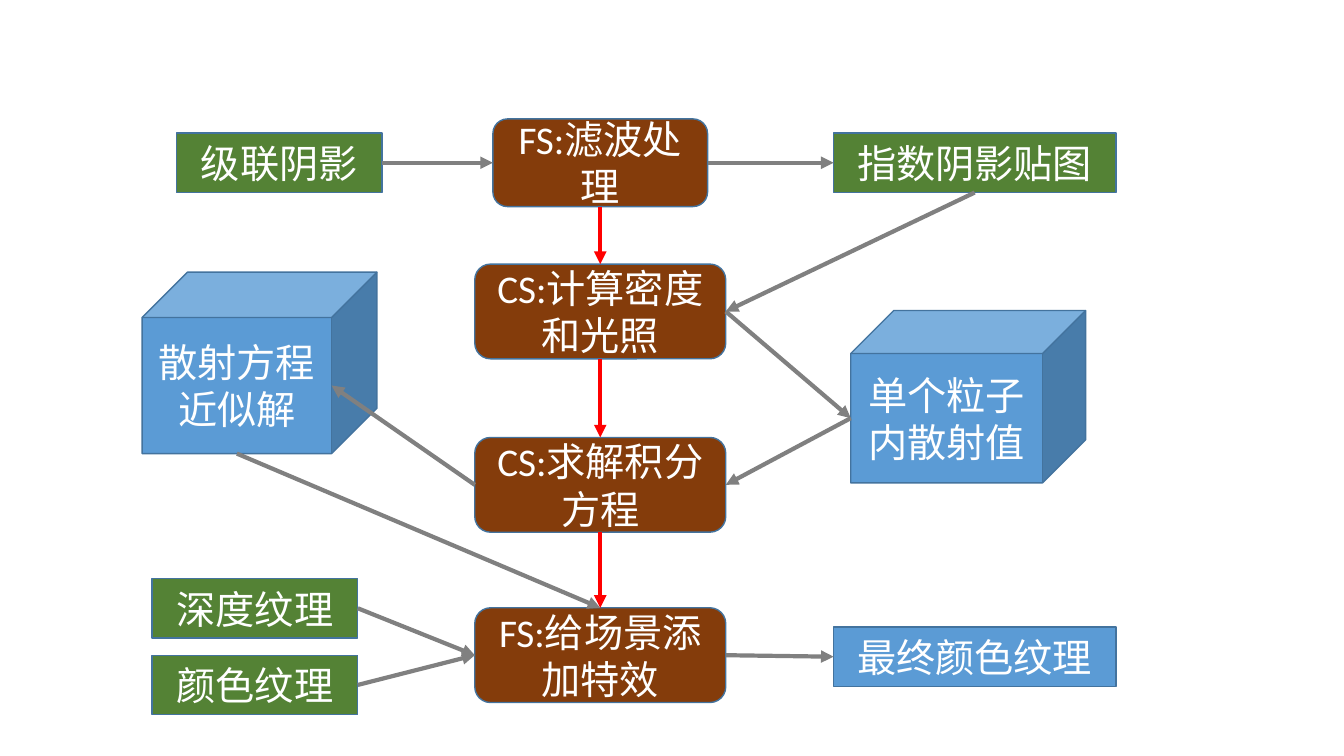
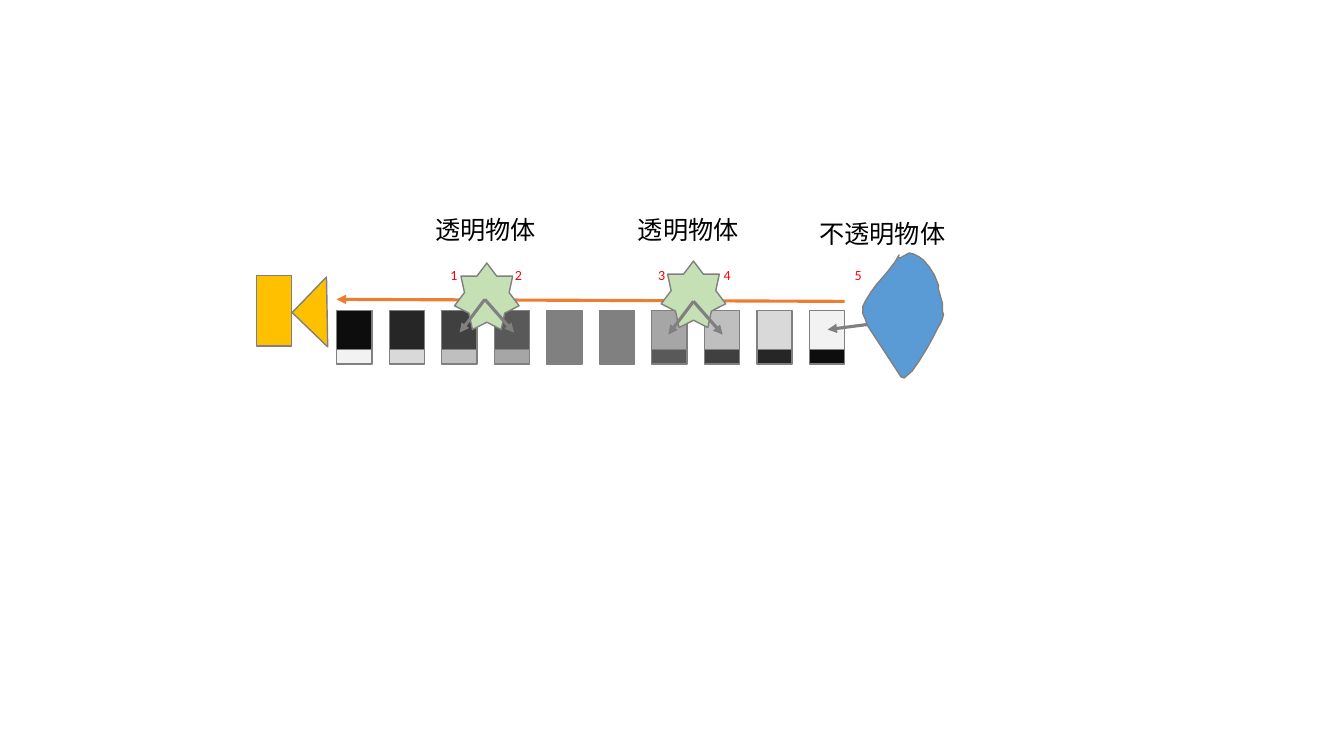
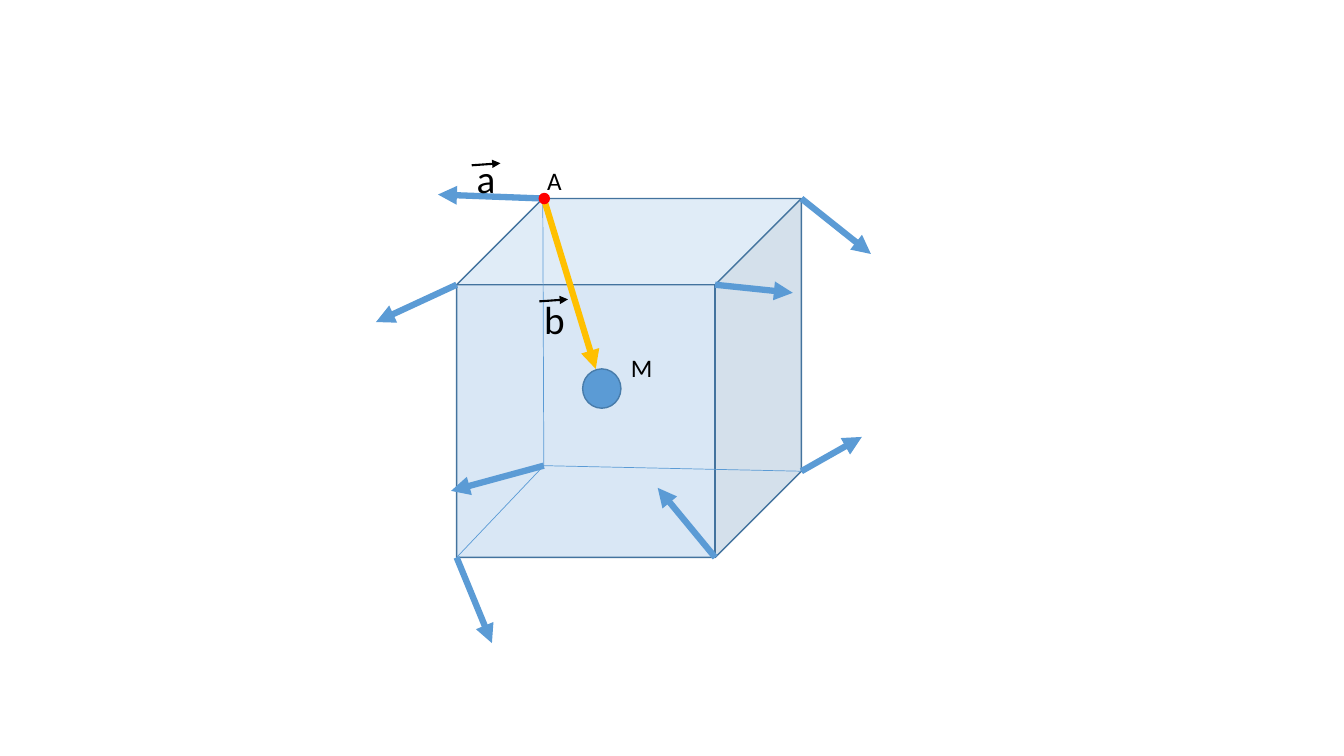
from dataclasses import dataclass
from typing import Any

from lxml.etree import SubElement
from pptx import Presentation
from pptx.dml.color import RGBColor
from pptx.enum.shapes import MSO_CONNECTOR, MSO_SHAPE
from pptx.enum.text import MSO_ANCHOR, MSO_AUTO_SIZE, PP_ALIGN
from pptx.oxml.ns import qn
from pptx.util import Inches, Pt

# Shared style: a grid of 0.1 inch cells, one font, one palette
CELL = Inches(0.1)
SLIDE_COLS, SLIDE_ROWS = 133.33, 75
FONT = "Calibri"
COLORS = {
    "blue": "5B9BD5", "edge": "43739E", "gray": "808080", "green": "548235",
    "brown": "843C0B", "red": "FF0000", "gold": "FFC000", "orange": "ED7D31",
    "mint": "C5E0B4", "white": "FFFFFF", "black": "000000",
}
SHADES = ["0D0D0D", "262626", "404040", "595959", "808080",
          "808080", "A6A6A6", "BFBFBF", "D9D9D9", "F2F2F2"]
TOP, LEFT, BOTTOM, RIGHT = range(4)
CUBE_DEPTH = 0.25


def cells(count):
    return round(count * CELL)


def rgb(color):
    return RGBColor.from_string(COLORS.get(color, color))


def paint(shape, fill, line, alpha=None):
    shape.shadow.inherit = False
    shape.fill.solid()
    shape.fill.fore_color.rgb = rgb(fill)
    shape.line.color.rgb = rgb(line)
    shape.line.width = Pt(1)
    if alpha is not None:
        tone = shape._element.spPr.find(qn("a:solidFill"))[0]
        SubElement(tone, qn("a:alpha")).set("val", str(alpha * 1000))
    return shape


def write(frame, text, size, color):
    frame.text = text
    font = frame.paragraphs[0].runs[0].font
    font.name, font.size, font.color.rgb = FONT, Pt(size), rgb(color)


@dataclass
class Region:
    """A box on a slide; everything inside is placed in cells from its corner."""
    slide: Any
    col: float
    row: float
    cols: float
    rows: float

    def place(self, x, y):
        return cells(self.col + x), cells(self.row + y)

    def shape(self, preset, box, fill, line="gray", alpha=None):
        x, y, width, height = box
        added = self.slide.shapes.add_shape(
            preset, *self.place(x, y), cells(width), cells(height))
        return paint(added, fill, line, alpha)

    def line(self, start, end, color, weight, arrow=True):
        added = self.slide.shapes.add_connector(
            MSO_CONNECTOR.STRAIGHT, *self.place(*start), *self.place(*end))
        added.line.color.rgb = rgb(color)
        added.line.width = Pt(weight)
        properties = added._element.spPr
        if arrow:
            SubElement(properties.find(qn("a:ln")), qn("a:tailEnd")).set("type", "triangle")
        SubElement(properties, qn("a:effectLst"))
        return added

    def label(self, text, box, size, color="black"):
        x, y, width, height = box
        frame = self.slide.shapes.add_textbox(
            *self.place(x, y), cells(width), cells(height)).text_frame
        frame.word_wrap = False
        frame.auto_size = MSO_AUTO_SIZE.SHAPE_TO_FIT_TEXT
        write(frame, text, size, color)


# Slide 1: rendering pipeline
NODE_STYLES = {
    "texture": (MSO_SHAPE.RECTANGLE, "green"),
    "result": (MSO_SHAPE.RECTANGLE, "blue"),
    "pass": (MSO_SHAPE.ROUNDED_RECTANGLE, "brown"),
    "volume": (MSO_SHAPE.CUBE, "blue"),
}


def port(kind, box, side):
    """Middle of one side of a node; for a volume, of its front face."""
    x, y, width, height = box
    depth = CUBE_DEPTH * min(width, height) if kind == "volume" else 0
    y, width, height = y + depth, width - depth, height - depth
    return {
        TOP: (x + width / 2, y), LEFT: (x, y + height / 2),
        BOTTOM: (x + width / 2, y + height), RIGHT: (x + width, y + height / 2),
    }[side]


def pipeline(region):
    pass_x, pass_size = 33, (24.9, 9.4)
    output_x, output_size = 68.6, (28, 5.9)
    texture_size = (20.4, 5.9)
    nodes = {
        "cascade": ("texture", "级联阴影", (3.4, 1.4, *texture_size)),
        "filter": ("pass", "FS:滤波处理", (34.8, 0, 21.3, 8.7)),
        "exponential": ("texture", "指数阴影贴图", (output_x, 1.4, *output_size)),
        "density": ("pass", "CS:计算密度和光照", (pass_x, 14.4, *pass_size)),
        "particle": ("volume", "单个粒子内散射值", (70.3, 19, 23.3, 17.1)),
        "solution": ("volume", "散射方程近似解", (0, 15.2, 23.3, 18)),
        "integral": ("pass", "CS:求解积分方程", (pass_x, 31.6, *pass_size)),
        "color": ("texture", "颜色纹理", (1, 53.2, *texture_size)),
        "depth": ("texture", "深度纹理", (1, 45.6, *texture_size)),
        "effect": ("pass", "FS:给场景添加特效", (pass_x, 48.5, *pass_size)),
        "final": ("result", "最终颜色纹理", (output_x, 50.4, *output_size)),
    }
    drawn = {}
    for name, (kind, text, box) in nodes.items():
        preset, fill = NODE_STYLES[kind]
        drawn[name] = region.shape(preset, box, fill, "edge")
        frame = drawn[name].text_frame
        frame.word_wrap = True
        frame.vertical_anchor = MSO_ANCHOR.MIDDLE
        write(frame, text, 28, "white")
        frame.paragraphs[0].alignment = PP_ALIGN.CENTER

    # Data flow in gray, order of the passes in red
    data_flow = [
        ("cascade", RIGHT, "filter", LEFT), ("filter", RIGHT, "exponential", LEFT),
        ("exponential", BOTTOM, "density", RIGHT), ("density", RIGHT, "particle", LEFT),
        ("particle", LEFT, "integral", RIGHT), ("integral", LEFT, "solution", RIGHT),
        ("solution", BOTTOM, "effect", TOP), ("depth", RIGHT, "effect", LEFT),
        ("color", RIGHT, "effect", LEFT), ("effect", RIGHT, "final", LEFT),
    ]
    passes = ["filter", "density", "integral", "effect"]
    pass_order = [(a, BOTTOM, b, TOP) for a, b in zip(passes, passes[1:])]
    for flow, color in ((data_flow, "gray"), (pass_order, "red")):
        for source, source_side, target, target_side in flow:
            source_kind, _, source_box = nodes[source]
            target_kind, _, target_box = nodes[target]
            arrow = region.line(port(source_kind, source_box, source_side),
                                port(target_kind, target_box, target_side), color, 3)
            if source_kind != "volume":
                arrow.begin_connect(drawn[source], source_side)
            if target_kind != "volume":
                arrow.end_connect(drawn[target], target_side)


# Slide 2: slots along a view ray
OPAQUE_OUTLINE = [
    (64.2, 5.3), (63.8, 6), (63.1, 6.9), (62.6, 7.5), (61.9, 8.3), (61.4, 9),
    (60.9, 9.8), (60.6, 10.4), (60.6, 11.1), (60.9, 11.8), (61, 12.2),
    (64.4, 17.4), (64.7, 17.5), (65.5, 16.8), (66.2, 15.8), (67, 14.5),
    (67.6, 13.4), (68, 12.6), (68.3, 12.1), (68.5, 11.6), (68.6, 11.2),
    (68.5, 10.9), (68.5, 10.1), (68.3, 9.4), (68.1, 8.7), (68.1, 8.3),
    (67.7, 7.3), (67.2, 6.5), (66.6, 5.8), (66.2, 5.5), (65.6, 5.2),
    (65.2, 5.1), (64.3, 5.6), (64.1, 5.5),
]


def camera(region):
    region.shape(MSO_SHAPE.RECTANGLE, (0.45, 7.35, 3.5, 7), "gold")
    lens = region.shape(MSO_SHAPE.RIGHT_TRIANGLE, (5, 8.5, 4.9, 4.9), "gold")
    lens.rotation = 44


def slots(region):
    first, pitch, width = 8.4, 5.21, 3.5
    for index, (upper, lower) in enumerate(zip(SHADES, reversed(SHADES))):
        x = first + index * pitch
        region.shape(MSO_SHAPE.RECTANGLE, (x, 10.8, width, 3.9), upper)
        region.shape(MSO_SHAPE.RECTANGLE, (x, 14.7, width, 1.4), lower)


def opaque_object(region):
    start, *rest = [region.place(x, y) for x, y in OPAQUE_OUTLINE]
    builder = region.slide.shapes.build_freeform(*start)
    builder.add_line_segments(rest, close=True)
    paint(builder.convert_to_shape(), "blue", "gray")


def transparent_object(region, star, center):
    region.shape(MSO_SHAPE.STAR_7_POINT, (*star, 6.4, 6.6), "mint")
    x, y = center
    for reach in (-2.5, 2.9):
        region.line(center, (x + reach, y + 3.3), "gray", 2.25)


def ray_diagram(region):
    camera(region)
    slots(region)
    opaque_object(region)
    region.line((58.8, 9.9), (8.4, 9.7), "orange", 2.25)
    transparent_object(region, (20.1, 6.1), (23.1, 9.7))
    transparent_object(region, (40.6, 5.9), (43.8, 9.9))
    region.line((61, 12.2), (57.1, 12.7), "gray", 2.25)
    for text, x, y, width in (("透明物体", 17.2, 0.8, 12.1), ("透明物体", 37.3, 0.8, 12.1),
                              ("不透明物体", 55.3, 1.2, 14.6)):
        region.label(text, (x, y, width, 4), 18)
    for number, x in enumerate((18.7, 25.1, 39.3, 45.8, 58.8), 1):
        region.label(str(number), (x, 5.9, 2.7, 2.7), 10, "red")


# Slide 3: gradient vectors on the corners of a cube
def vector_symbol(region, letter, x, y, width, rise):
    region.label(letter, (x, y, width, 5.7), 28)
    region.line((x + 0.5, y + rise), (x + 3.35, y + rise - 0.2), "black", 1.5)


def gradient_cube(region):
    width, height = region.cols, region.rows
    depth = CUBE_DEPTH * min(width, height)
    front_right, back_bottom = width - depth, height - depth
    origin, hidden = (depth + 0.1, 0), (depth + 0.1, 26.5)

    # Center point and cube with its hidden edges
    region.shape(MSO_SHAPE.OVAL, (12.5, 16.9, 3.8, 3.9), "blue", "edge")
    region.shape(MSO_SHAPE.CUBE, (0, 0, width, height), "blue", "edge", alpha=23)
    for corner in ((depth, 0), (width, back_bottom), (0, height)):
        region.line(corner, hidden, "blue", 0.5, arrow=False)

    # Gradients: a corner and the step to the tip
    gradients = [
        (origin, (-10.5, -0.4)), ((width, 0), (6.9, 5.5)),
        ((width, back_bottom), (6, -3.4)), ((front_right, height), (-5.7, -6.9)),
        ((front_right, depth), (7.7, 0.8)), ((0, height), (3.5, 8.5)),
        ((0, depth), (-8, 3.7)), (hidden, (-9.2, 2.5)),
    ]
    for (x, y), (dx, dy) in gradients:
        region.line((x, y), (x + dx, y + dy), "blue", 4.5)
    region.line(origin, (13.8, 16.9), "gold", 4.5)

    # Symbols and point names
    vector_symbol(region, "a", 1, -4.9, 3.9, 1.6)
    vector_symbol(region, "b", 7.7, 9.1, 4.1, 1.1)
    region.shape(MSO_SHAPE.OVAL, (8.2, -0.5, 1, 1), "red", "red")
    region.label("A", (8, -3.8, 3.5, 4), 18)
    region.label("M", (16.3, 14.8, 4.2, 4), 18)


def main():
    deck = Presentation()
    deck.slide_width, deck.slide_height = cells(SLIDE_COLS), cells(SLIDE_ROWS)
    blank = deck.slide_layouts[6]
    for draw, box in ((pipeline, (14.1, 11.8, 96.6, 59.1)),
                      (ray_diagram, (25, 20, 70, 18)),
                      (gradient_cube, (45.3, 19.7, 34.2, 35.6))):
        draw(Region(deck.slides.add_slide(blank), *box))
    deck.save("out.pptx")


if __name__ == "__main__":
    main()
